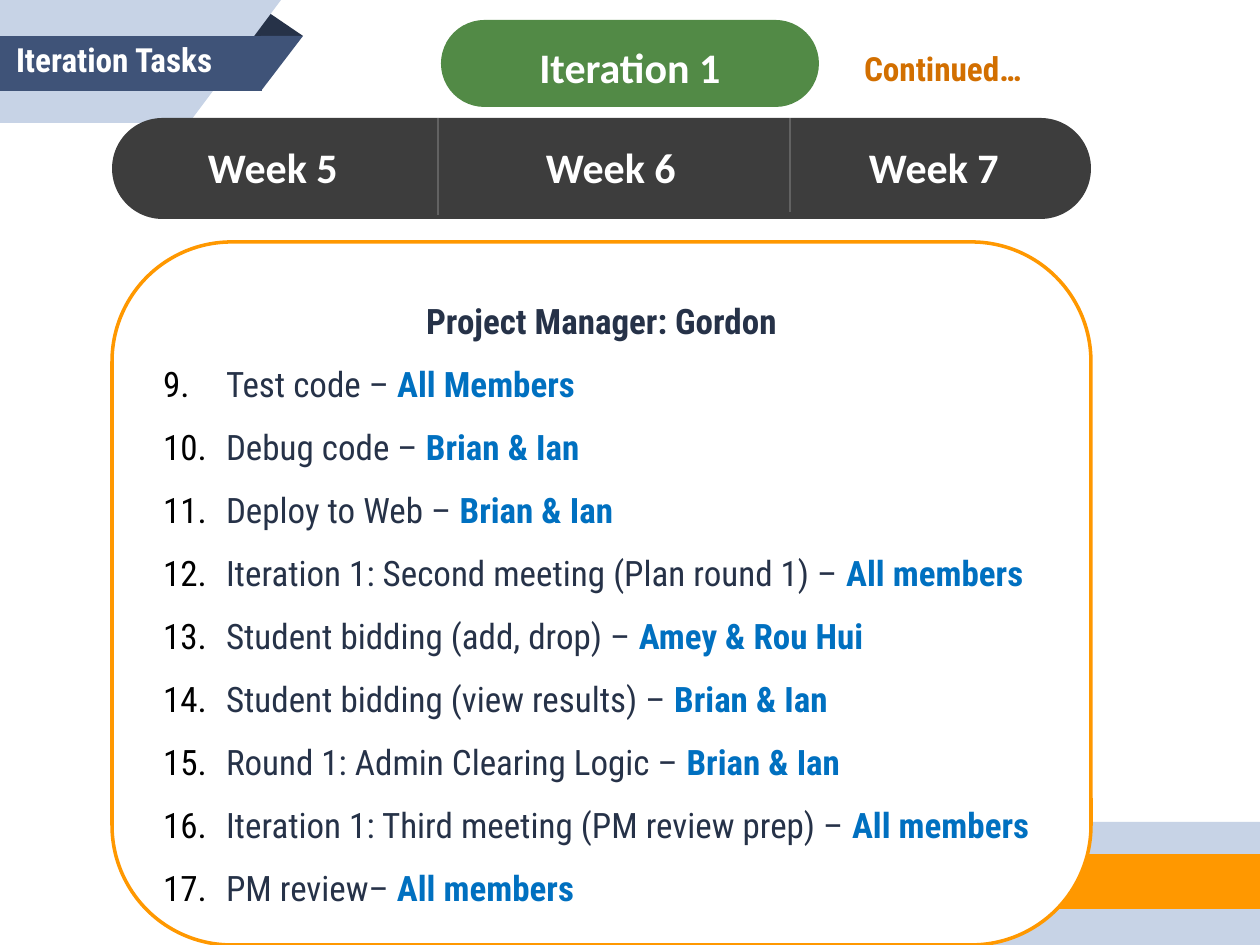
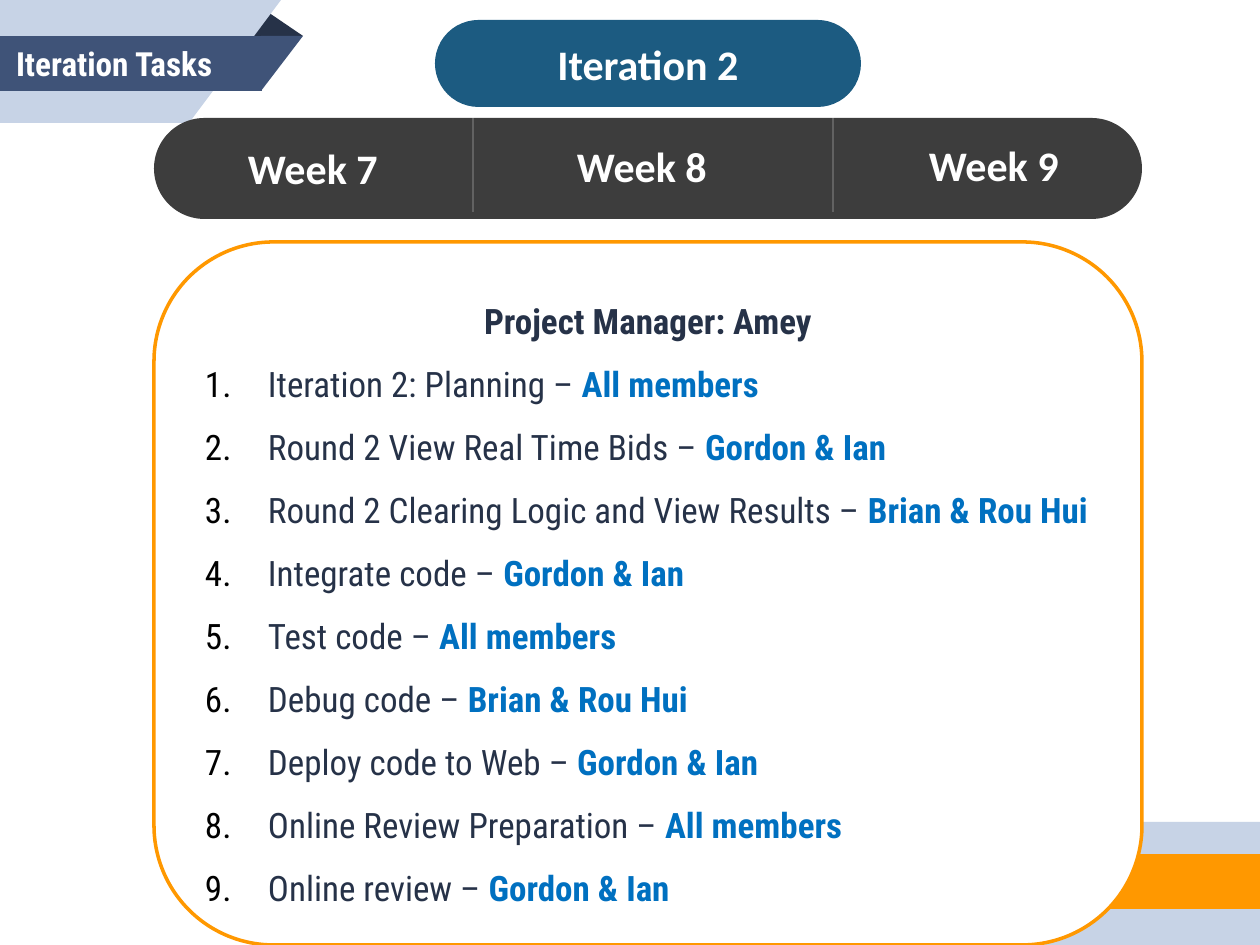
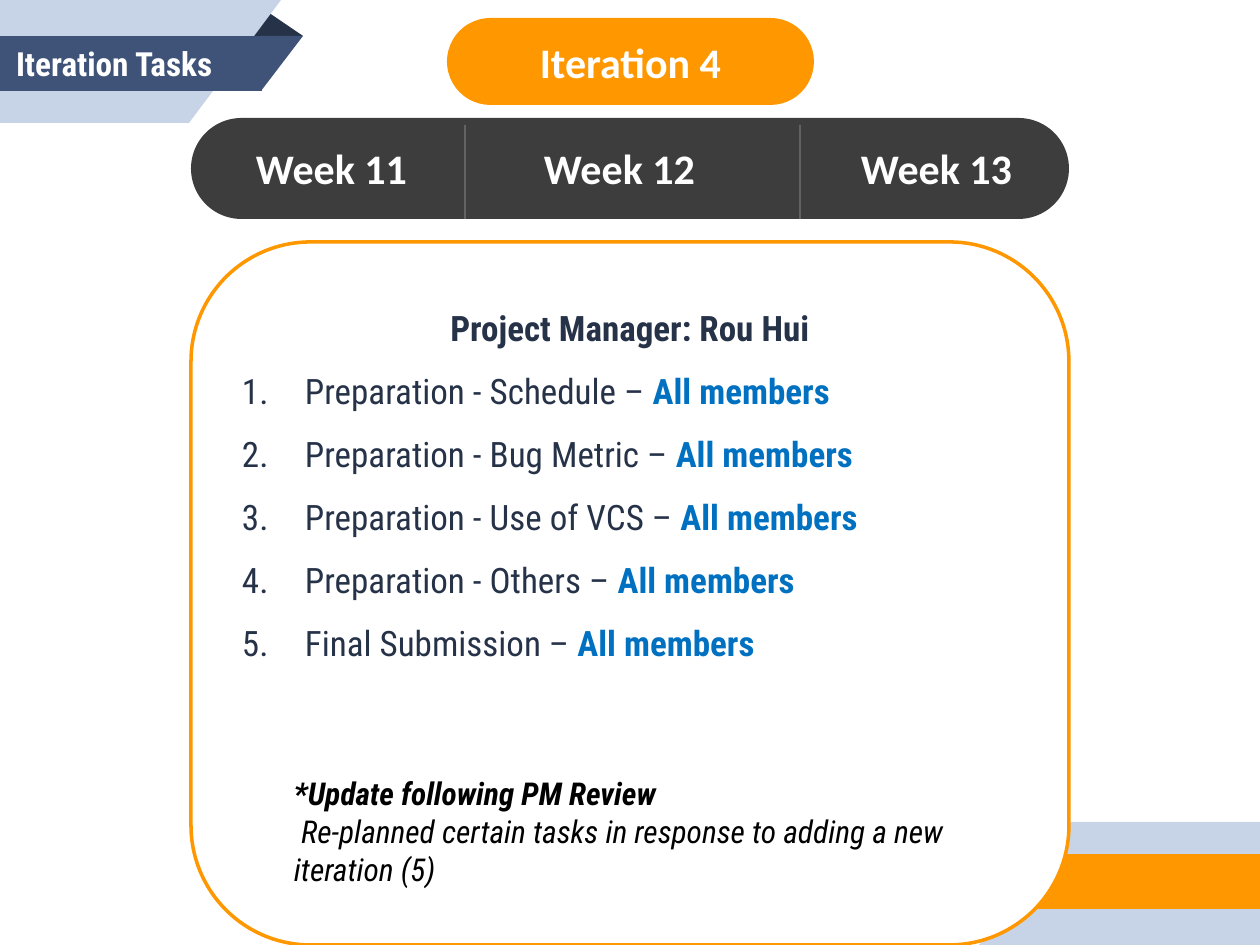
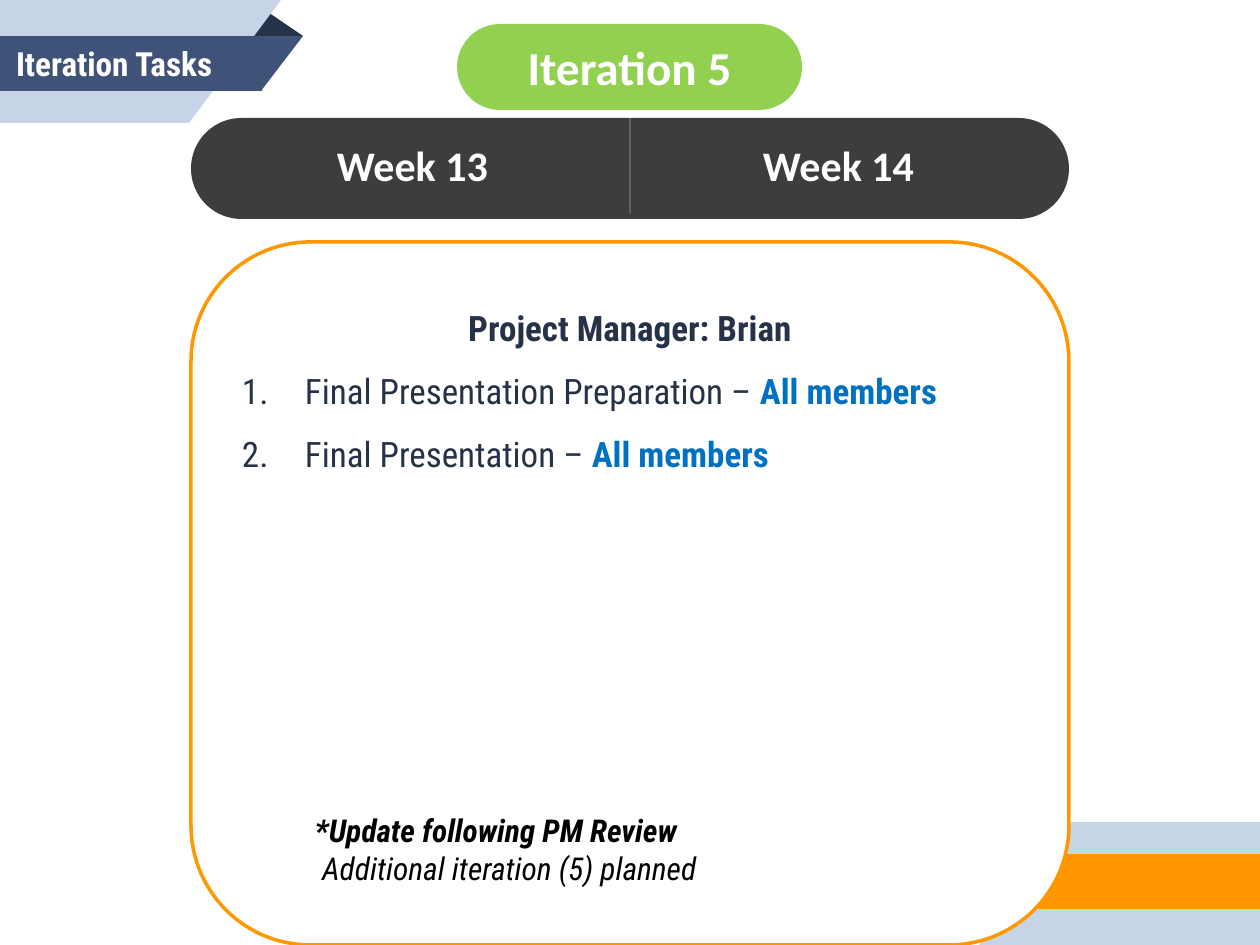
from dataclasses import dataclass

from lxml.etree import SubElement
from pptx import Presentation
from pptx.dml.color import RGBColor
from pptx.enum.shapes import MSO_CONNECTOR as Connector, MSO_SHAPE as Preset
from pptx.enum.text import MSO_ANCHOR as Anchor, MSO_AUTO_SIZE as AutoSize, PP_ALIGN as Align
from pptx.oxml.ns import qn
from pptx.util import Pt

EMU_PER_PX = 914400 / 126
SLIDE_SIZE = (1260, 945)
HEAD_FONT = "Calibri"
BODY_FONT = "Roboto Condensed"
COLORS = {
    "white": "FFFFFF",
    "black": "000000",
    "navy": "263248",
    "slate": "3F5378",
    "mist": "C7D3E6",
    "orange": "FF9800",
    "charcoal": "3D3D3D",
    "owner": "0070C0",
    "continued": "D26F00",
    "green": "528A46",
    "blue": "1C5B81",
    "lime": "92D050",
}


@dataclass
class Iteration:
    name: str
    pill: tuple
    pill_color: str
    weeks: list
    dividers: list
    panel: tuple
    manager: str
    tasks: list
    name_size: int = 24
    name_anchor: Anchor = Anchor.MIDDLE
    title_top: int = 20
    start: int = 1
    number_color: str = "navy"
    task_align: Align = Align.LEFT
    panel_anchor: Anchor = Anchor.TOP


ITERATIONS = [
    Iteration(
        "Iteration 1", (441, 20, 378, 87), "green",
        [("Week 5", 208, 122), ("Week 6", 546, 122), ("Week 7", 869, 122)],
        [(438, 118), (790, 115)], (112, 979), "Gordon",
        [
            ("Test code – ", "All Members"),
            ("Debug code – ", "Brian & Ian"),
            ("Deploy to Web – ", "Brian & Ian"),
            ("Iteration 1: Second meeting (Plan round 1) – ", "All members"),
            ("Student bidding (add, drop) – ", "Amey & Rou Hui"),
            ("Student bidding (view results) – ", "Brian & Ian"),
            ("Round 1: Admin Clearing Logic – ", "Brian & Ian"),
            ("Iteration 1: Third meeting (PM review prep) – ", "All members"),
            ("PM review– ", "All members"),
        ],
        name_anchor=Anchor.TOP, title_top=16, start=9, number_color="black",
        task_align=Align.JUSTIFY, panel_anchor=Anchor.MIDDLE,
    ),
    Iteration(
        "Iteration 2", (435, 20, 426, 87), "blue",
        [("Week 7", 248, 123), ("Week 8", 577, 121), ("Week 9", 929, 120)],
        [(473, 115), (833, 115)], (154, 988), "Amey",
        [
            ("Iteration 2: Planning – ", "All members"),
            ("Round 2 View Real Time Bids – ", "Gordon & Ian"),
            ("Round 2 Clearing Logic and View Results – ", "Brian & Rou Hui"),
            ("Integrate code – ", "Gordon & Ian"),
            ("Test code – ", "All members"),
            ("Debug code – ", "Brian & Rou Hui"),
            ("Deploy code to Web – ", "Gordon & Ian"),
            ("Online Review Preparation – ", "All members"),
            ("Online review – ", "Gordon & Ian"),
        ],
        number_color="black", panel_anchor=Anchor.MIDDLE,
    ),
    Iteration(
        "Iteration 4", (447, 18, 367, 87), "orange",
        [("Week 11", 256, 123), ("Week 12", 544, 123), ("Week 13", 861, 123)],
        [(465, 125), (800, 125)], (191, 878), "Rou Hui",
        [
            ("Preparation - Schedule – ", "All members"),
            ("Preparation - Bug Metric – ", "All members"),
            ("Preparation - Use of VCS – ", "All members"),
            ("Preparation - Others – ", "All members"),
            ("Final Submission – ", "All members"),
        ],
    ),
    Iteration(
        "Iteration 5", (457, 24, 345, 86), "lime",
        [("Week 13", 337, 120), ("Week 14", 763, 120)],
        [(630, 116)], (191, 878), "Brian",
        [
            ("Final Presentation Preparation – ", "All members"),
            ("Final Presentation – ", "All members"),
        ],
        name_size=27,
    ),
]


def px(length):
    return round(length * EMU_PER_PX)


def rgb(color):
    return RGBColor.from_string(COLORS[color])


def style_font(span, font, size, color, bold=True, italic=False):
    span.font.name = font
    span.font.size = Pt(size)
    span.font.color.rgb = rgb(color)
    span.font.bold = bold
    span.font.italic = italic


def set_frame(frame, anchor, across=0, down=0):
    frame.word_wrap = True
    frame.auto_size = AutoSize.NONE
    frame.vertical_anchor = anchor
    frame.margin_left = frame.margin_right = px(across)
    frame.margin_top = frame.margin_bottom = px(down)


def add_span(para, text, color, bold):
    span = para.add_run()
    span.text = text
    style_font(span, BODY_FONT, 20, color, bold)


def add_preset(shapes, preset, place, color, adjustment=None, flip=None):
    shape = shapes.add_shape(preset, *map(px, place))
    shape.shadow.inherit = False
    shape.fill.solid()
    shape.fill.fore_color.rgb = rgb(color)
    shape.line.fill.background()
    if adjustment is not None:
        shape.adjustments[0] = adjustment
    if flip:
        shape.element.spPr.find(qn("a:xfrm")).set(flip, "1")
    return shape


def add_text(page, text, place, font, size, color, anchor=Anchor.TOP, across=0, down=0):
    box = page.shapes.add_textbox(*map(px, place))
    set_frame(box.text_frame, anchor, across, down)
    para = box.text_frame.paragraphs[0]
    para.text = text
    style_font(para.runs[0], font, size, color)
    return box


def add_ribbons(page, layout):
    top = page.shapes.add_group_shape()
    add_preset(top.shapes, Preset.ISOSCELES_TRIANGLE, (249, 11, 54, 25), "navy", 0.32)
    add_preset(top.shapes, Preset.RECTANGLE, (0, 0, 189, 123), "mist")
    add_preset(top.shapes, Preset.RIGHT_TRIANGLE, (189, 0, 92, 123), "mist", flip="flipV")
    add_preset(top.shapes, Preset.RECTANGLE, (0, 36, 262, 55), "slate")
    add_preset(top.shapes, Preset.RIGHT_TRIANGLE, (261, 36, 42, 55), "slate", flip="flipV")
    bottom = page.shapes.add_group_shape()
    add_preset(bottom.shapes, Preset.RECTANGLE, (1071, 822, 189, 123), "mist")
    add_preset(bottom.shapes, Preset.RIGHT_TRIANGLE, (979, 822, 92, 123), "mist", flip="flipH")
    add_preset(bottom.shapes, Preset.RECTANGLE, (999, 854, 261, 55), "orange")
    tree = layout.shapes.element
    for index, group in enumerate((top, bottom), 2):
        tree.insert(index, group.element)
    for number, entry in enumerate(tree.iter(qn("p:cNvPr")), 1):
        entry.set("id", str(number))


def set_title(page, top):
    title = page.shapes.title
    title.left, title.top, title.width, title.height = map(px, (0, top, 303, 87))
    set_frame(title.text_frame, Anchor.MIDDLE, 16, 16)
    para = title.text_frame.paragraphs[0]
    para.text = "Iteration Tasks"
    para.alignment = Align.LEFT
    style_font(para.runs[0], BODY_FONT, 19, "white")


def add_divider(page, x, y):
    line = page.shapes.add_connector(Connector.STRAIGHT, *map(px, (x, y, x, y + 97)))
    line.line.color.rgb = rgb("white")
    line.line.width = Pt(0.75)
    properties = line.element.spPr
    tint = next(properties.iter(qn("a:srgbClr")))
    SubElement(tint, qn("a:alpha")).set("val", "29000")
    SubElement(properties, qn("a:effectLst"))


def add_week_bar(page, iteration):
    left, width = iteration.panel
    add_preset(page.shapes, Preset.ROUNDED_RECTANGLE, (left, 118, width, 101), "charcoal", 0.5)
    for text, x, y in iteration.weeks:
        add_text(page, text, (x, y, 178, 89), HEAD_FONT, 24, "white", Anchor.MIDDLE)
    for x, y in iteration.dividers:
        add_divider(page, x, y)


def number_para(para, start, color):
    properties = para._p.get_or_add_pPr()
    properties.set("marL", str(px(63)))
    properties.set("indent", str(px(-63)))
    tint = SubElement(properties, qn("a:buClr"))
    SubElement(tint, qn("a:srgbClr")).set("val", COLORS[color])
    numbering = SubElement(properties, qn("a:buAutoNum"))
    numbering.set("type", "arabicPeriod")
    if start > 1:
        numbering.set("startAt", str(start))


def add_task_panel(page, iteration):
    left, width = iteration.panel
    panel = add_preset(page.shapes, Preset.ROUNDED_RECTANGLE, (left, 242, width, 703), "white", 0.17)
    panel.line.color.rgb = rgb("orange")
    panel.line.width = Pt(2)
    frame = panel.text_frame
    set_frame(frame, iteration.panel_anchor, 16, 9)
    heading = frame.paragraphs[0]
    heading.alignment = Align.CENTER
    heading.line_spacing = 1.5
    add_span(heading, f"Project Manager: {iteration.manager}", "navy", True)
    for task, owner in iteration.tasks:
        para = frame.add_paragraph()
        para.alignment = iteration.task_align
        para.line_spacing = 1.5
        number_para(para, iteration.start, iteration.number_color)
        add_span(para, task, "navy", False)
        add_span(para, owner, "owner", True)


def add_pill(page, iteration):
    pill = add_preset(page.shapes, Preset.ROUNDED_RECTANGLE, iteration.pill, iteration.pill_color, 0.5)
    set_frame(pill.text_frame, iteration.name_anchor, 16, 9)
    para = pill.text_frame.paragraphs[0]
    para.text = iteration.name
    para.alignment = Align.CENTER
    style_font(para.runs[0], HEAD_FONT, iteration.name_size, "white")


def add_update_note(page, place, text):
    box = add_text(page, "*Update following PM Review", place, BODY_FONT, 18, "black", across=13, down=13)
    box.text_frame.paragraphs[0].runs[0].font.italic = True
    para = box.text_frame.add_paragraph()
    para.text = text
    style_font(para.runs[0], BODY_FONT, 18, "black", False, True)


def main():
    deck = Presentation()
    deck.slide_width, deck.slide_height = map(px, SLIDE_SIZE)
    layout = deck.slide_layouts[5]
    pages = [deck.slides.add_slide(layout) for _ in ITERATIONS]
    add_ribbons(pages[0], layout)
    for page, iteration in zip(pages, ITERATIONS):
        set_title(page, iteration.title_top)
        add_week_bar(page, iteration)
        add_task_panel(page, iteration)
        add_pill(page, iteration)
    first, _, fourth, fifth = pages
    add_text(first, "Continued…", (848, 39, 231, 57), BODY_FONT, 19, "continued", across=16, down=9)
    add_update_note(fourth, (281, 761, 703, 161),
                    " Re-planned certain tasks in response to adding a new iteration (5)")
    add_update_note(fifth, (302, 798, 617, 98), " Additional iteration (5) planned")
    deck.save("out.pptx")


if __name__ == "__main__":
    main()
